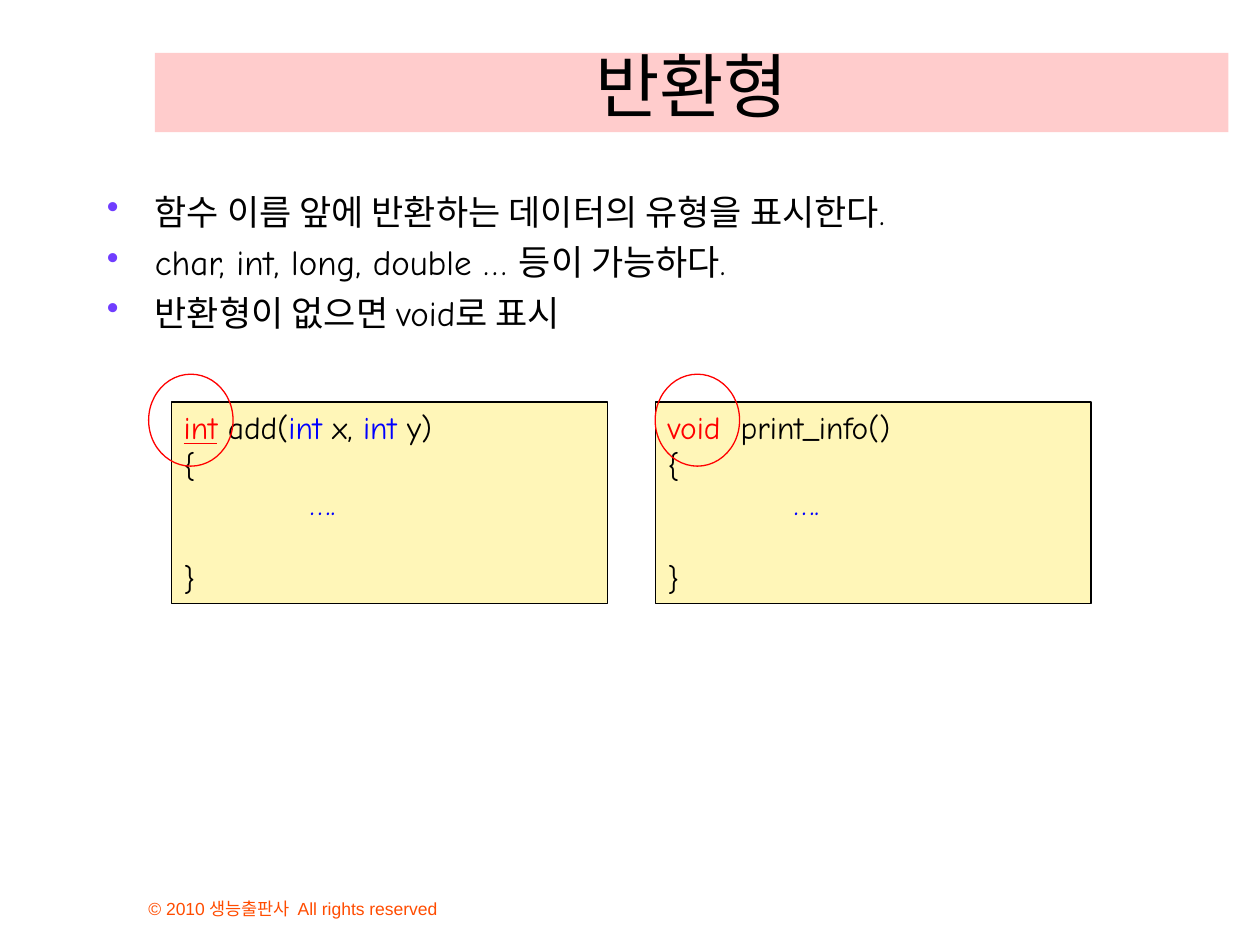
from dataclasses import dataclass

import pptx
import pptx.dml.color
import pptx.enum.shapes
import pptx.enum.text
import pptx.oxml
import pptx.oxml.ns
import pptx.util

Shape = pptx.enum.shapes.MSO_SHAPE
Anchor = pptx.enum.text.MSO_ANCHOR
Align = pptx.enum.text.PP_ALIGN
Pt = pptx.util.Pt


@dataclass(frozen=True)
class Theme:
    """Colours, fonts and type sizes of the slide."""
    ink: str = "000000"
    band: str = "FFCCCC"
    bullet: str = "703DFF"
    code_fill: str = "FFF6B8"
    keyword: str = "0000FF"
    mark: str = "FF0000"
    footer: str = "FF4C00"
    font: str = "Comic Neue"
    footer_font: str = "Arial"
    title_pt: int = 40
    body_pt: int = 20
    code_pt: int = 18
    footer_pt: int = 10
    code_line_pt: float = 21.6


@dataclass(frozen=True)
class Box:
    """Left, top, width and height on a grid of 100 columns by 75 rows."""
    x: float
    y: float
    w: float
    h: float

    def emu(self) -> list[int]:
        """Return the box in slide units."""
        return [round(v * CELL) for v in (self.x, self.y, self.w, self.h)]


@dataclass(frozen=True)
class Word:
    """A run of code in one colour."""
    text: str
    color: str
    underline: bool = False


@dataclass(frozen=True)
class Listing:
    """A function whose return type is circled."""
    x: float
    circle_x: float
    head: tuple[Word, ...]


CELL = pptx.util.Inches(0.1)
T = Theme()
BULLETS = (
    "함수 이름 앞에 반환하는 데이터의 유형을 표시한다.",
    "char, int, long, double … 등이 가능하다.",
    "반환형이 없으면 void로 표시",
)
LISTINGS = (
    Listing(13.6, 11.8, (
        Word("int", T.mark, True), Word(" add(", T.ink),
        Word("int", T.keyword), Word(" x, ", T.ink),
        Word("int", T.keyword), Word(" y)", T.ink))),
    Listing(52, 52, (Word("void\t", T.mark), Word("print_info()", T.ink))),
)


def rgb(color: str) -> pptx.dml.color.RGBColor:
    """Turn a hex string into a colour."""
    return pptx.dml.color.RGBColor.from_string(color)


def style(font, size: int, color: str | None = None, name: str = T.font) -> None:
    """Set the size, face and, if given, colour of a font."""
    font.size, font.name = Pt(size), name
    if color:
        font.color.rgb = rgb(color)


def add_ppr(p, xml: str) -> None:
    """Append paragraph property elements written as XML."""
    ns = pptx.oxml.ns.nsdecls("a")
    p._p.get_or_add_pPr().extend(pptx.oxml.parse_xml(f"<a:x {ns}>{xml}</a:x>"))


def add_shape(s, kind, box: Box, fill: str | None, line: str | None):
    """Add a flat preset shape."""
    sp = s.shapes.add_shape(kind, *box.emu())
    sp.shadow.inherit = False
    if fill:
        sp.fill.solid()
        sp.fill.fore_color.rgb = rgb(fill)
    else:
        sp.fill.background()
    if line:
        sp.line.color.rgb, sp.line.width = rgb(line), Pt(0.75)
    else:
        sp.line.fill.background()
    return sp


def add_text_box(s, box: Box):
    """Add a wrapping text box and return its text frame."""
    tf = s.shapes.add_textbox(*box.emu()).text_frame
    tf.word_wrap = True
    return tf


def add_title(s, text: str) -> None:
    """Add the title on its band."""
    tf = add_shape(s, Shape.RECTANGLE, Box(12.3, 4.2, 85.2, 6.3), T.band, None).text_frame
    tf.vertical_anchor = Anchor.BOTTOM
    p = tf.paragraphs[0]
    p.text, p.alignment = text, Align.CENTER
    style(p.font, T.title_pt, T.ink)


def add_bullets(s, items: tuple[str, ...]) -> None:
    """Add the bulleted list."""
    tf = add_text_box(s, Box(7.5, 14.6, 89.8, 45.4))
    indent = pptx.util.Inches(0.38)
    for i, item in enumerate(items):
        p = tf.add_paragraph() if i else tf.paragraphs[0]
        p.text = item
        ppr = p._p.get_or_add_pPr()
        ppr.set("marL", str(indent))
        ppr.set("indent", str(-indent))
        add_ppr(p, f'<a:buClr><a:srgbClr val="{T.bullet}"/></a:buClr><a:buChar char="•"/>')
        if i:
            p.space_before = Pt(5)
        style(p.font, T.body_pt, T.ink)


def add_listing(s, listing: Listing) -> None:
    """Add a code panel for one function."""
    box = Box(listing.x, 31.9, 34.6, 16)
    tf = add_shape(s, Shape.RECTANGLE, box, T.code_fill, T.ink).text_frame
    tf.vertical_anchor = Anchor.TOP
    tf.auto_size = pptx.enum.text.MSO_AUTO_SIZE.SHAPE_TO_FIT_TEXT
    lines = (listing.head, (Word("{", T.ink),), (Word("….", T.keyword),), (Word("}", T.ink),))
    for i, words in enumerate(lines):
        p = tf.add_paragraph() if i else tf.paragraphs[0]
        p.alignment = Align.LEFT
        for word in words:
            r = p.add_run()
            r.text = word.text
            r.font.color.rgb = rgb(word.color)
            if word.underline:
                r.font.underline = True
        if any("\t" in word.text for word in words):
            add_ppr(p, f'<a:tabLst><a:tab pos="{round(5.8 * CELL)}" algn="l"/></a:tabLst>')
        style(p.font, T.code_pt)
    body, end = tf.paragraphs[2:]
    body._p.get_or_add_pPr().set("marL", str(10 * CELL))
    end.space_before = Pt(T.code_line_pt)


def add_footer(s, text: str) -> None:
    """Add the copyright line."""
    tf = add_text_box(s, Box(10.8, 69.2, 38.3, 4.2))
    tf.vertical_anchor = Anchor.BOTTOM
    p = tf.paragraphs[0]
    p.text = text
    style(p.font, T.footer_pt, T.footer, T.footer_font)


def main() -> None:
    """Build and save the slide."""
    prs = pptx.Presentation()
    prs.slide_width, prs.slide_height = 100 * CELL, 75 * CELL
    s = prs.slides.add_slide(prs.slide_layouts[6])
    add_footer(s, "© 2010 생능출판사  All rights reserved")
    add_title(s, "반환형")
    add_bullets(s, BULLETS)
    for listing in LISTINGS:
        add_listing(s, listing)
    for listing in LISTINGS:
        add_shape(s, Shape.OVAL, Box(listing.circle_x, 29.7, 6.7, 7.3), None, T.mark)
    prs.save("out.pptx")


if __name__ == "__main__":
    main()
